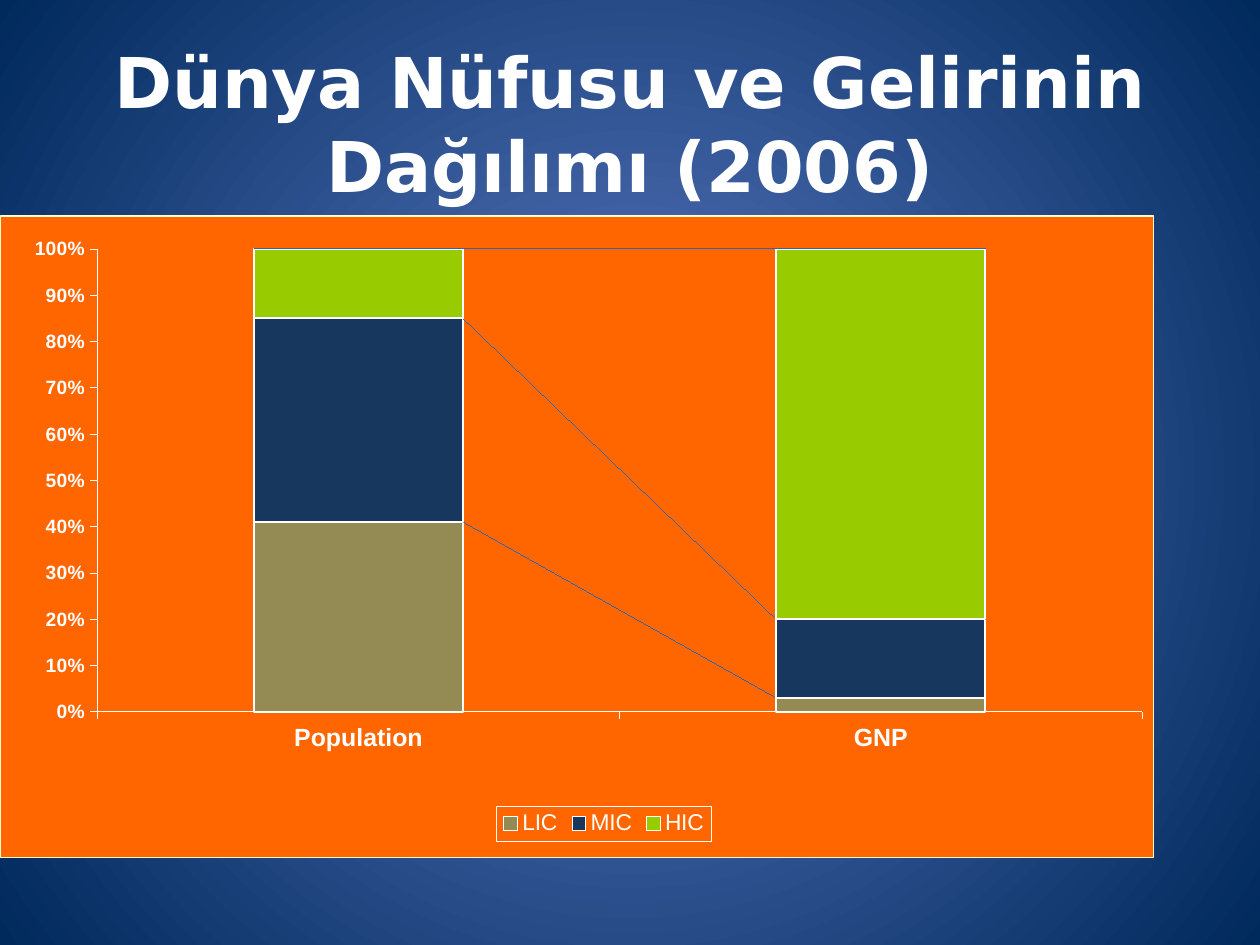
import pptx
import pptx.util
import pptx.chart.data
import pptx.dml.color
import pptx.enum.chart
import pptx.enum.text
import pptx.oxml
import pptx.oxml.ns

Inches = pptx.util.Inches
Pt = pptx.util.Pt
qn = pptx.oxml.ns.qn
HUES = {
    "white": "FFFFFF", "glow": "5E7CC5", "navy": "00295C", "panel": "FF6600",
    "edge": "FFFFCC", "link": "1F5AA6",
    "LIC": "948A54", "MIC": "17375E", "HIC": "99CC00",
}
CATS = ["Population", "GNP"]
DATA = {"LIC": (41, 3), "MIC": (44, 17), "HIC": (15, 80)}


def rgb(name):
    """Return the named colour."""
    return pptx.dml.color.RGBColor.from_string(HUES[name])


def node(xml):
    """Parse an XML piece with the chart and drawing prefixes declared."""
    spaces = pptx.oxml.ns.nsdecls("c", "a")
    return pptx.oxml.parse_xml(xml.replace(">", f" {spaces}>", 1))


def style_font(font, face, size, bold):
    """Set a white font."""
    font.name, font.size, font.bold = face, Pt(size), bold
    font.color.rgb = rgb("white")


def style_line(line, name, width):
    """Set the colour and width of a line."""
    line.color.rgb = rgb(name)
    line.width = Pt(width)


def outline(name, width):
    """Return the XML of a solid line."""
    return (f'<a:ln w="{Pt(width)}"><a:solidFill><a:srgbClr val="{HUES[name]}"/>'
            '</a:solidFill></a:ln>')


def layout(left, top, width=None, height=None):
    """Return a manual chart layout in fractions of the chart."""
    target = '<c:layoutTarget val="inner"/>' if width else ""
    parts = {"x": left, "y": top, "w": width, "h": height}
    modes = '<c:xMode val="edge"/><c:yMode val="edge"/>'
    sizes = "".join(f'<c:{key} val="{val}"/>' for key, val in parts.items() if val)
    return node(f"<c:layout><c:manualLayout>{target}{modes}{sizes}"
                "</c:manualLayout></c:layout>")


def paint_back(slide):
    """Fill the background with a radial gradient."""
    fill = slide.background.fill
    fill.gradient()
    for stop, name, place in zip(fill.gradient_stops, ("glow", "navy"), (0, 1)):
        stop.color.rgb = rgb(name)
        stop.position = place
    old = slide.background._cSld.find(".//" + qn("a:lin"))
    old.getparent().replace(old, node(
        '<a:path path="circle"><a:fillToRect l="50000" t="50000" r="50000" b="50000"/>'
        "</a:path>"))


def add_title(slide, text):
    """Place and format the title."""
    title = slide.shapes.title
    title.left, title.top = Inches(0), Inches(0.39)
    title.width, title.height = Inches(10), Inches(1.17)
    frame = title.text_frame
    frame.text = text
    frame.word_wrap = True
    frame.auto_size = pptx.enum.text.MSO_AUTO_SIZE.NONE
    frame.vertical_anchor = pptx.enum.text.MSO_ANCHOR.MIDDLE
    para = frame.paragraphs[0]
    para.alignment = pptx.enum.text.PP_ALIGN.CENTER
    style_font(para.runs[0].font, "DejaVu Sans", 40, True)


def style_axis(axis, size):
    """Format one axis."""
    axis.has_major_gridlines = False
    axis.major_tick_mark = pptx.enum.chart.XL_TICK_MARK.OUTSIDE
    axis.minor_tick_mark = pptx.enum.chart.XL_TICK_MARK.NONE
    style_line(axis.format.line, "white", 0.29)
    style_font(axis.tick_labels.font, "Arial", size, True)


def style_key(chart):
    """Put a framed legend at the bottom."""
    chart.has_legend = True
    key = chart.legend
    key.position = pptx.enum.chart.XL_LEGEND_POSITION.BOTTOM
    key.include_in_layout = False
    style_font(key.font, "Arial", 13, False)
    root = key._element
    for old in root.findall(qn("c:layout")):
        root.remove(old)
    root.find(qn("c:legendPos")).addnext(layout(0.43, 0.92))
    root.find(qn("c:overlay")).addnext(
        node(f'<c:spPr><a:noFill/>{outline("white", 0.29)}</c:spPr>'))


def style_area(chart):
    """Colour the chart panel and place the plot in it."""
    root = chart._chartSpace
    root.find(qn("c:chart")).addnext(node(
        f'<c:spPr><a:solidFill><a:srgbClr val="{HUES["panel"]}"/></a:solidFill>'
        f'{outline("edge", 0.75)}</c:spPr>'))
    area = root.find(".//" + qn("c:plotArea"))
    for old in area.findall(qn("c:layout")):
        area.remove(old)
    area.insert(0, layout(0.084, 0.051, 0.906, 0.722))


def add_bars(slide):
    """Add the stacked columns with their series lines."""
    data = pptx.chart.data.CategoryChartData()
    data.categories = CATS
    for name, vals in DATA.items():
        data.add_series(name, vals)
    chart = slide.shapes.add_chart(
        pptx.enum.chart.XL_CHART_TYPE.COLUMN_STACKED_100,
        Inches(0), Inches(1.71), Inches(9.16), Inches(5.1), data).chart
    chart.has_title = False
    style_font(chart.font, "Roboto", 20.4, True)
    style_area(chart)
    style_axis(chart.category_axis, 14.2)
    scale = chart.value_axis
    style_axis(scale, 11)
    scale.minimum_scale, scale.maximum_scale, scale.major_unit = 0, 1, 0.1
    scale.tick_labels.number_format = "0%"
    scale.tick_labels.number_format_is_linked = False
    plot = chart.plots[0]
    plot.vary_by_categories = False
    plot.gap_width, plot.overlap = 150, 100
    for bar in plot.series:
        bar.format.fill.solid()
        bar.format.fill.fore_color.rgb = rgb(bar.name)
        style_line(bar.format.line, "white", 1.15)
    plot._element.find(qn("c:axId")).addprevious(
        node(f'<c:serLines><c:spPr>{outline("link", 0.29)}</c:spPr></c:serLines>'))
    style_key(chart)


def main():
    """Build and save the slide."""
    deck = pptx.Presentation()
    deck.slide_width, deck.slide_height = Inches(10), Inches(7.5)
    slide = deck.slides.add_slide(deck.slide_layouts[5])
    paint_back(slide)
    add_title(slide, "Dünya Nüfusu ve Gelirinin Dağılımı (2006)")
    add_bars(slide)
    deck.save("out.pptx")


if __name__ == "__main__":
    main()
